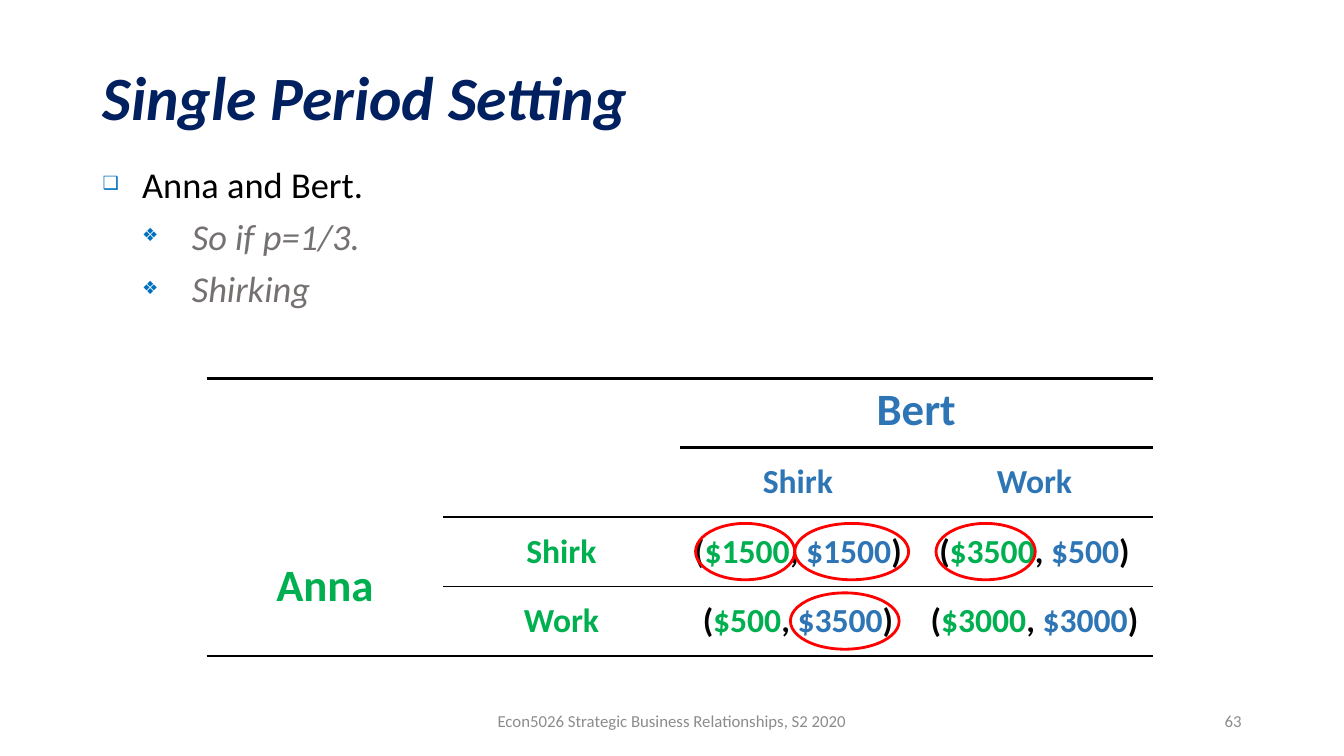
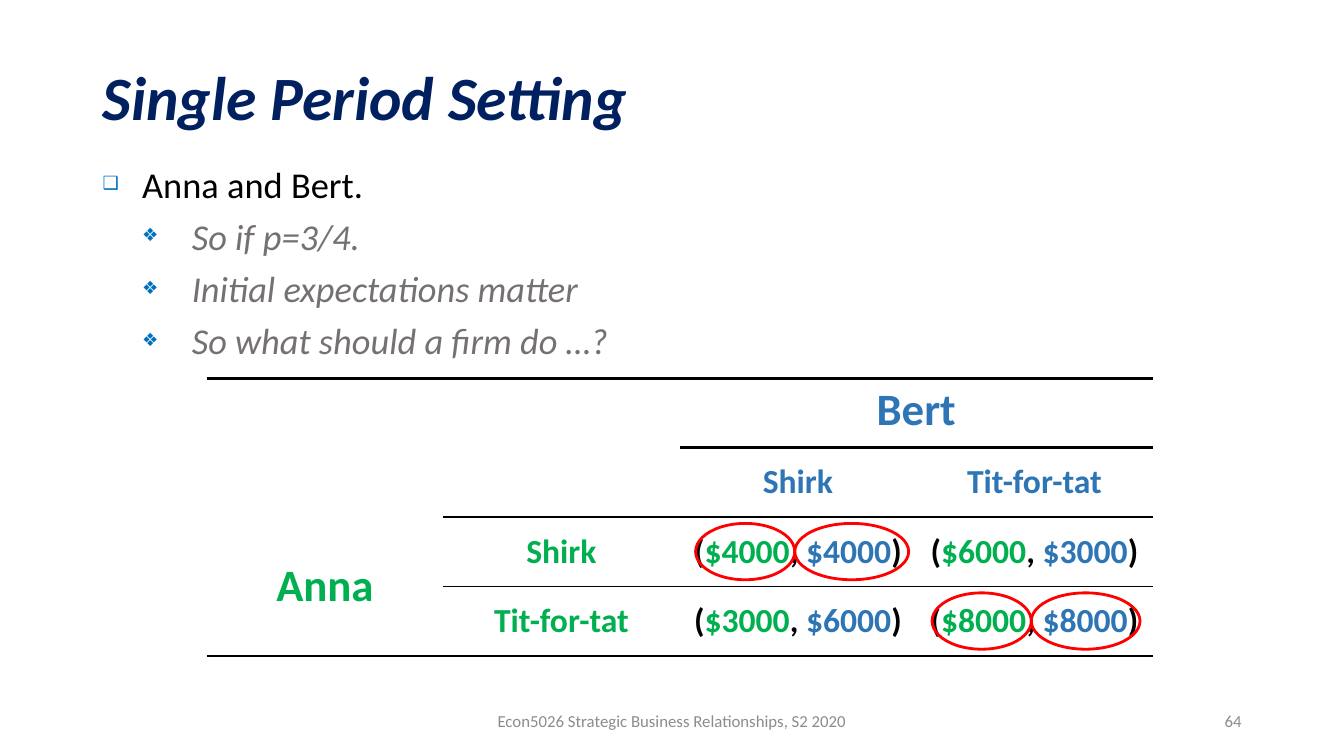
from lxml import etree
from pptx import Presentation
from pptx.dml.color import RGBColor
from pptx.enum.shapes import MSO_SHAPE
from pptx.enum.text import MSO_ANCHOR, MSO_AUTO_SIZE, PP_ALIGN
from pptx.oxml.ns import qn
from pptx.util import Cm, Pt

OVAL = MSO_SHAPE.OVAL
TOP, MID = MSO_ANCHOR.TOP, MSO_ANCHOR.MIDDLE
LEFT, MIDDLE, RIGHT = PP_ALIGN.LEFT, PP_ALIGN.CENTER, PP_ALIGN.RIGHT
FIXED = MSO_AUTO_SIZE.NONE
PLAIN = "{2D5ABB26-0587-4C30-8999-92F81FD0307C}"

HUES = {
    "navy": "002060", "mark": "0070C0", "black": "000000", "gray": "767171",
    "foot": "8C8C8C", "anna": "00B050", "bert": "2E75B6", "ring": "FF0000",
}
FONTS = {
    "title": {"size": Pt(44), "bold": True, "italic": True},
    "item": {"size": Pt(26), "bold": False, "italic": False},
    "sub": {"size": Pt(26), "bold": False, "italic": True},
    "foot": {"size": Pt(12)},
    "name": {"size": Pt(32), "bold": True},
    "cell": {"size": Pt(24), "bold": True},
}
LEVELS = [
    {"mark": "❑", "font": "item", "hue": "black", "left": 1, "hang": 1, "lead": 1.2},
    {"mark": "❖", "font": "sub", "hue": "gray", "left": 2.25, "hang": 1.25, "lead": 1.0},
]
BOXES = {
    "title": (2.33, 1.01, 29.21, 3.07),
    "body": (2.33, 3.73, 29.21, 13.41),
    "foot": (11.22, 17.66, 11.43, 1.01),
    "page": (23.92, 17.66, 7.62, 1.01),
    "game": (5.21, 9.53, 23.84, 7.0),
}
RULES = [
    ("lnT", 0, range(4), 2.25),
    ("lnB", 0, (2, 3), 2.25),
    ("lnB", 1, (1, 2, 3), 2.25),
    ("lnB", 2, (1, 2, 3), 1.5),
    ("lnB", 2, (0,), 2.25),
    ("lnB", 3, range(4), 2.25),
]
FOOT = "Econ5026 Strategic Business Relationships, S2 2020"
SLIDES = [
    {
        "page": "63",
        "items": [("Anna and Bert.", 0), ("So if p=1/3.", 1), ("Shirking", 1)],
        "moves": ("Shirk", "Work"),
        "pays": [[("$1500", "$1500"), ("$3500", "$500")],
                 [("$500", "$3500"), ("$3000", "$3000")]],
        "rings": [(2, 2, 2.9, 2.87), (3, 2, 2.79, 2.74),
                  (2, 3, 0.5, 2.5), (2, 2, 0.4, 2.5)],
    },
    {
        "page": "64",
        "items": [("Anna and Bert.", 0), ("So if p=3/4.", 1),
                  ("Initial expectations matter", 1),
                  ("So what should a firm do …?", 1)],
        "moves": ("Shirk", "Tit-for-tat"),
        "pays": [[("$4000", "$4000"), ("$6000", "$3000")],
                 [("$3000", "$6000"), ("$8000", "$8000")]],
        "rings": [(2, 2, 2.9, 2.87), (3, 3, 2.9, 2.74),
                  (3, 3, 0.4, 2.5), (2, 2, 0.4, 2.5)],
    },
]


def tint(hue):
    """Return the named colour."""
    return RGBColor.from_string(HUES[hue])


def span(box):
    """Turn a box in centimetres into lengths."""
    return [Cm(part) for part in box]


def move(shape, box):
    """Place a shape in a box."""
    for key, value in zip(("left", "top", "width", "height"), span(box)):
        setattr(shape, key, value)


def write(para, text, font, hue):
    """Add a run of text in a named format."""
    run = para.add_run()
    run.text = text
    for key, value in {"name": "Calibri", **FONTS[font]}.items():
        setattr(run.font, key, value)
    run.font.color.rgb = tint(hue)


def setup(frame, anchor):
    """Fix the size, wrap and anchor of a text frame."""
    for key, value in {"word_wrap": True, "auto_size": FIXED,
                       "vertical_anchor": anchor}.items():
        setattr(frame, key, value)


def head(slide, box):
    """Fill the title placeholder."""
    title = slide.shapes.title
    move(title, box)
    setup(title.text_frame, MID)
    para = title.text_frame.paragraphs[0]
    para.alignment, para.line_spacing = LEFT, 0.9
    write(para, "Single Period Setting", "title", "navy")


def bullet(para, level):
    """Give a paragraph the mark and indent of its level."""
    props = para._p.get_or_add_pPr()
    props.set("marL", str(Cm(level["left"])))
    props.set("indent", str(-Cm(level["hang"])))
    color = etree.SubElement(props, qn("a:buClr"))
    etree.SubElement(color, qn("a:srgbClr"), val=HUES["mark"])
    etree.SubElement(props, qn("a:buSzPct"), val="50000")
    etree.SubElement(props, qn("a:buChar"), char=level["mark"])


def body(slide, box, items):
    """Fill the body placeholder with a list."""
    hold = slide.placeholders[1]
    move(hold, box)
    frame = hold.text_frame
    setup(frame, TOP)
    for num, (text, depth) in enumerate(items):
        para = frame.add_paragraph() if num else frame.paragraphs[0]
        level = LEVELS[depth]
        para.level = depth
        bullet(para, level)
        para.line_spacing = level["lead"]
        para.space_before = Pt(6 if num else 0)
        write(para, text, level["font"], level["hue"])


def note(slide, box, text, align):
    """Add a line of footer text."""
    frame = slide.shapes.add_textbox(*span(box)).text_frame
    setup(frame, MID)
    frame.paragraphs[0].alignment = align
    write(frame.paragraphs[0], text, "foot", "foot")


def edge(cell, side, width):
    """Draw a black border on one side of a cell."""
    line = etree.Element(qn("a:" + side), w=str(Pt(width)))
    fill = etree.SubElement(line, qn("a:solidFill"))
    etree.SubElement(fill, qn("a:srgbClr"), val=HUES["black"])
    props = cell._tc.get_or_add_tcPr()
    props.insert(len(props.findall(qn("a:lnT"))), line)


def label(cell, parts, font="cell", anchor=MID):
    """Write coloured parts in the centre of a cell."""
    cell.vertical_anchor = anchor
    para = cell.text_frame.paragraphs[0]
    para.alignment = MIDDLE
    for text, hue in parts:
        write(para, text, font, hue)


def game(slide, box, moves, pays):
    """Build the payoff table."""
    table = slide.shapes.add_table(4, 4, *span(box)).table
    table.first_row = table.horz_banding = False
    table._tbl.tblPr.find(qn("a:tableStyleId")).text = PLAIN
    for col in table.columns:
        col.width = Cm(box[2] / 4)
    for row in table.rows:
        row.height = Cm(box[3] / 4)
    for cell in table.iter_cells():
        cell.fill.background()
    for side, row, cols, width in RULES:
        for col in cols:
            edge(table.cell(row, col), side, width)
    table.cell(0, 2).merge(table.cell(0, 3))
    table.cell(2, 0).merge(table.cell(3, 0))
    label(table.cell(0, 2), [("Bert", "bert")], "name", TOP)
    label(table.cell(2, 0), [("Anna", "anna")], "name")
    for num, text in enumerate(moves, 2):
        label(table.cell(1, num), [(text, "bert")])
        label(table.cell(num, 1), [(text, "anna")])
    for row, line in enumerate(pays, 2):
        for col, (anna, bert) in enumerate(line, 2):
            label(table.cell(row, col), [
                ("(", "black"), (anna, "anna"), (", ", "black"),
                (bert, "bert"), (")", "black")])


def ring(slide, box, row, col, shift, width):
    """Circle a payoff in a cell of the table box."""
    left = box[0] + col * box[2] / 4 + shift
    top = box[1] + row * box[3] / 4 + 0.16
    oval = slide.shapes.add_shape(OVAL, *span((left, top, width, 1.42)))
    oval.shadow.inherit = False
    oval.fill.background()
    oval.line.color.rgb = tint("ring")
    oval.line.width = Pt(2)


def build(deck, data):
    """Add one slide with its list, table and rings."""
    slide = deck.slides.add_slide(deck.slide_layouts[1])
    head(slide, BOXES["title"])
    body(slide, BOXES["body"], data["items"])
    note(slide, BOXES["foot"], FOOT, MIDDLE)
    note(slide, BOXES["page"], data["page"], RIGHT)
    game(slide, BOXES["game"], data["moves"], data["pays"])
    for spot in data["rings"]:
        ring(slide, BOXES["game"], *spot)


def main():
    """Build and save the deck."""
    deck = Presentation()
    deck.slide_width, deck.slide_height = Cm(33.87), Cm(19.05)
    for data in SLIDES:
        build(deck, data)
    deck.save("out.pptx")


if __name__ == "__main__":
    main()
